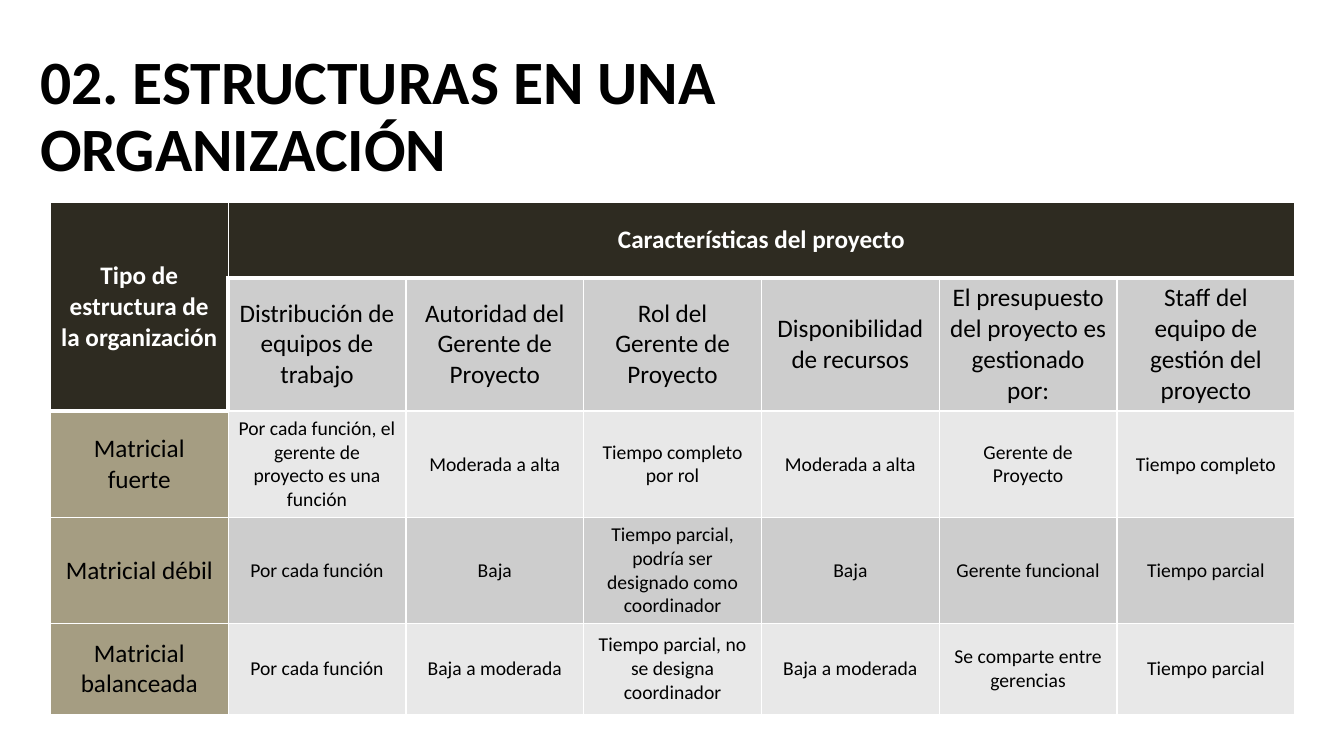
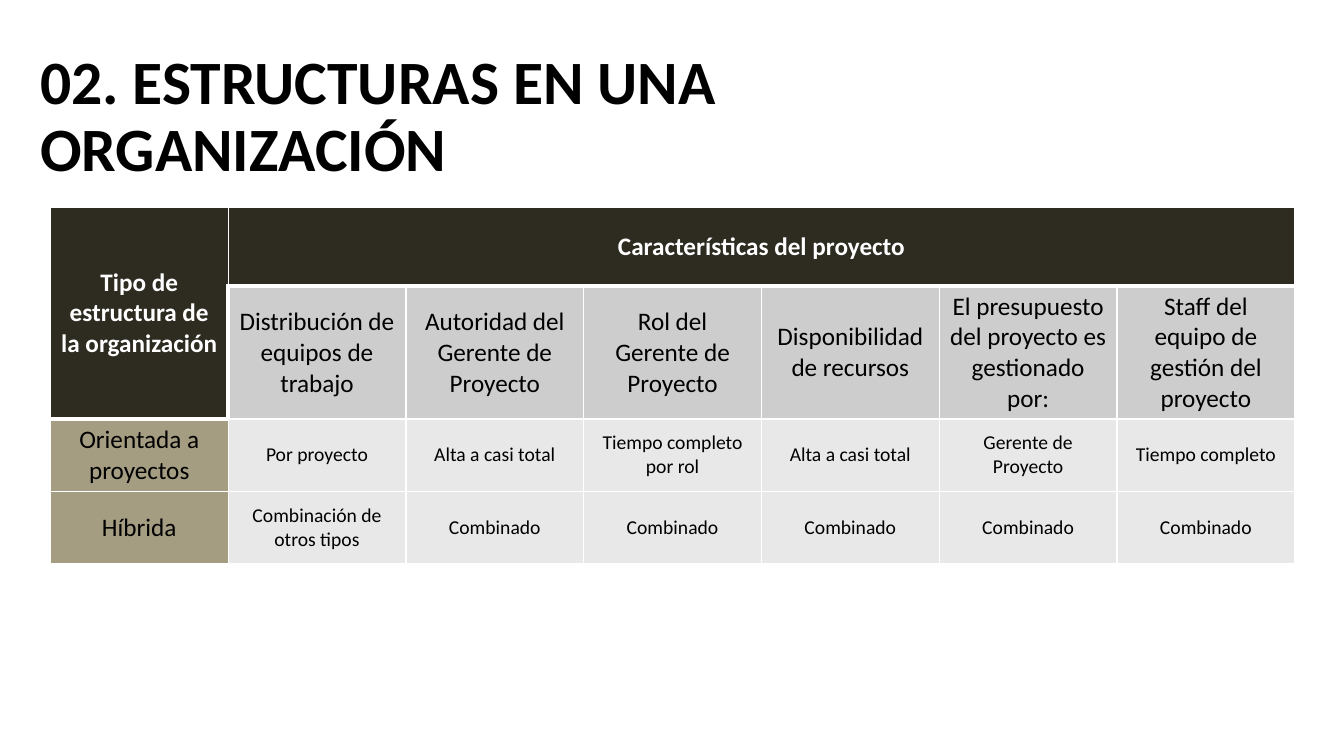
from lxml import etree
from pptx import Presentation
from pptx.dml.color import RGBColor
from pptx.enum.text import MSO_ANCHOR, PP_ALIGN
from pptx.oxml.ns import qn
from pptx.util import Cm, Pt

MIDDLE = MSO_ANCHOR.MIDDLE
CENTER = PP_ALIGN.CENTER

# Shared style
FONT = "Calibri"
BLACK = RGBColor(0x00, 0x00, 0x00)
WHITE = RGBColor(0xFF, 0xFF, 0xFF)
DARK = RGBColor(0x2E, 0x2B, 0x21)
OLIVE = RGBColor(0xA5, 0x9D, 0x82)
GRAY = RGBColor(0xCD, 0xCD, 0xCD)
LIGHT = RGBColor(0xE8, 0xE8, 0xE8)
THIN, THICK = Pt(1), Pt(3)

# Shared wording and layout
TITLE = "02. ESTRUCTURAS EN UNA ORGANIZACIÓN"
TITLE_BOX = (Cm(0.76), Cm(1.14), Cm(24.5), Cm(3.68))
TABLE_LEFT, TABLE_WIDTH = Cm(1.27), Cm(31.36)
CORNER = "Tipo de estructura de la organización"
GROUP = "Características del proyecto"
FEATURES = [
    "Distribución de equipos de trabajo",
    "Autoridad del Gerente de Proyecto",
    "Rol del Gerente de Proyecto",
    "Disponibilidad de recursos",
    "El presupuesto del proyecto es gestionado por:",
    "Staff del equipo de gestión del proyecto",
]
HEADER_ROWS = [[CORNER, GROUP] + [""] * (len(FEATURES) - 1), [""] + FEATURES]

# Body rows, each with the fill of its value cells
MATRIX_ROWS = [
    (LIGHT, ["Matricial fuerte",
             "Por cada función, el gerente de proyecto es una función",
             "Moderada a alta", "Tiempo completo por rol", "Moderada a alta",
             "Gerente de Proyecto", "Tiempo completo"]),
    (GRAY, ["Matricial débil", "Por cada función", "Baja",
            "Tiempo parcial, podría ser designado como coordinador", "Baja",
            "Gerente funcional", "Tiempo parcial"]),
    (LIGHT, ["Matricial balanceada", "Por cada función", "Baja a moderada",
             "Tiempo parcial, no se designa coordinador", "Baja a moderada",
             "Se comparte entre gerencias", "Tiempo parcial"]),
]
OTHER_ROWS = [
    (LIGHT, ["Orientada a proyectos", "Por proyecto", "Alta a casi total",
             "Tiempo completo por rol", "Alta a casi total",
             "Gerente de Proyecto", "Tiempo completo"]),
    (LIGHT, ["Híbrida", "Combinación de otros tipos"] + ["Combinado"] * 5),
]


def format_text(paragraph, size, color, bold):
    for run in paragraph.runs:
        run.font.name = FONT
        run.font.size = Pt(size)
        run.font.color.rgb = color
        run.font.bold = bold


def add_title(slide, box):
    frame = slide.shapes.add_textbox(*box).text_frame
    frame.word_wrap = True
    frame.vertical_anchor = MIDDLE
    frame.text = TITLE
    paragraph = frame.paragraphs[0]
    paragraph.line_spacing = 0.9
    format_text(paragraph, 44, BLACK, True)


def set_borders(cell, widths):
    """Draw white borders; they must come before the fill in the cell XML."""
    properties = cell._tc.get_or_add_tcPr()
    for index, (side, width) in enumerate(widths.items()):
        line = etree.Element(qn(f"a:ln{side}"), w=str(width))
        fill = etree.SubElement(line, qn("a:solidFill"))
        etree.SubElement(fill, qn("a:srgbClr"), val=str(WHITE))
        properties.insert(index, line)


def border_widths(row, column):
    """Thick lines part the dark header cells from the rest."""
    first = column == 0
    thick = {
        "L": (row, column) == (1, 1),
        "R": False,
        "T": row == (2 if first else 1),
        "B": row == (1 if first else 0),
    }
    return {side: THICK if is_thick else THIN for side, is_thick in thick.items()}


def fill_cell(cell, text, fill, size, color=BLACK, bold=False):
    cell.fill.solid()
    cell.fill.fore_color.rgb = fill
    cell.vertical_anchor = MIDDLE
    cell.text_frame.text = text
    paragraph = cell.text_frame.paragraphs[0]
    paragraph.alignment = CENTER
    format_text(paragraph, size, color, bold)


def add_structure_table(slide, left, top, width, heights, body_rows):
    rows = HEADER_ROWS + [texts for _, texts in body_rows]
    column_count = len(rows[0])
    table = slide.shapes.add_table(
        len(rows), column_count, left, top, width, sum(heights)).table
    for column in table.columns:
        column.width = width // column_count
    for table_row, height in zip(table.rows, heights):
        table_row.height = height

    for row, texts in enumerate(rows):
        for column, text in enumerate(texts):
            cell = table.cell(row, column)
            if row == 0 or (row == 1 and column == 0):
                fill_cell(cell, text, DARK, 18, WHITE, True)
            elif row == 1:
                fill_cell(cell, text, GRAY, 18)
            elif column == 0:
                fill_cell(cell, text, OLIVE, 18)
            else:
                fill_cell(cell, text, body_rows[row - 2][0], 14)
            set_borders(cell, border_widths(row, column))

    # Header spans; the corner's lower border is that of its last row
    corner = table.cell(0, 0)
    corner.merge(table.cell(1, 0))
    corner._tc.tcPr.find(qn("a:lnB")).set("w", str(THICK))
    table.cell(0, 1).merge(table.cell(0, column_count - 1))


def add_table_slide(presentation, top, heights, body_rows):
    slide = presentation.slides.add_slide(presentation.slide_layouts[6])
    add_structure_table(slide, TABLE_LEFT, top, TABLE_WIDTH, heights, body_rows)
    add_title(slide, TITLE_BOX)


def main():
    presentation = Presentation()
    presentation.slide_width = Cm(33.87)
    presentation.slide_height = Cm(19.05)
    add_table_slide(presentation, Cm(5.11),
                    [Cm(1.89), Cm(3.35), Cm(2.69), Cm(2.65), Cm(2.3)],
                    MATRIX_ROWS)
    add_table_slide(presentation, Cm(5.23),
                    [Cm(1.98), Cm(3.35), Cm(1.82), Cm(1.82)],
                    OTHER_ROWS)
    presentation.save("out.pptx")


if __name__ == "__main__":
    main()
